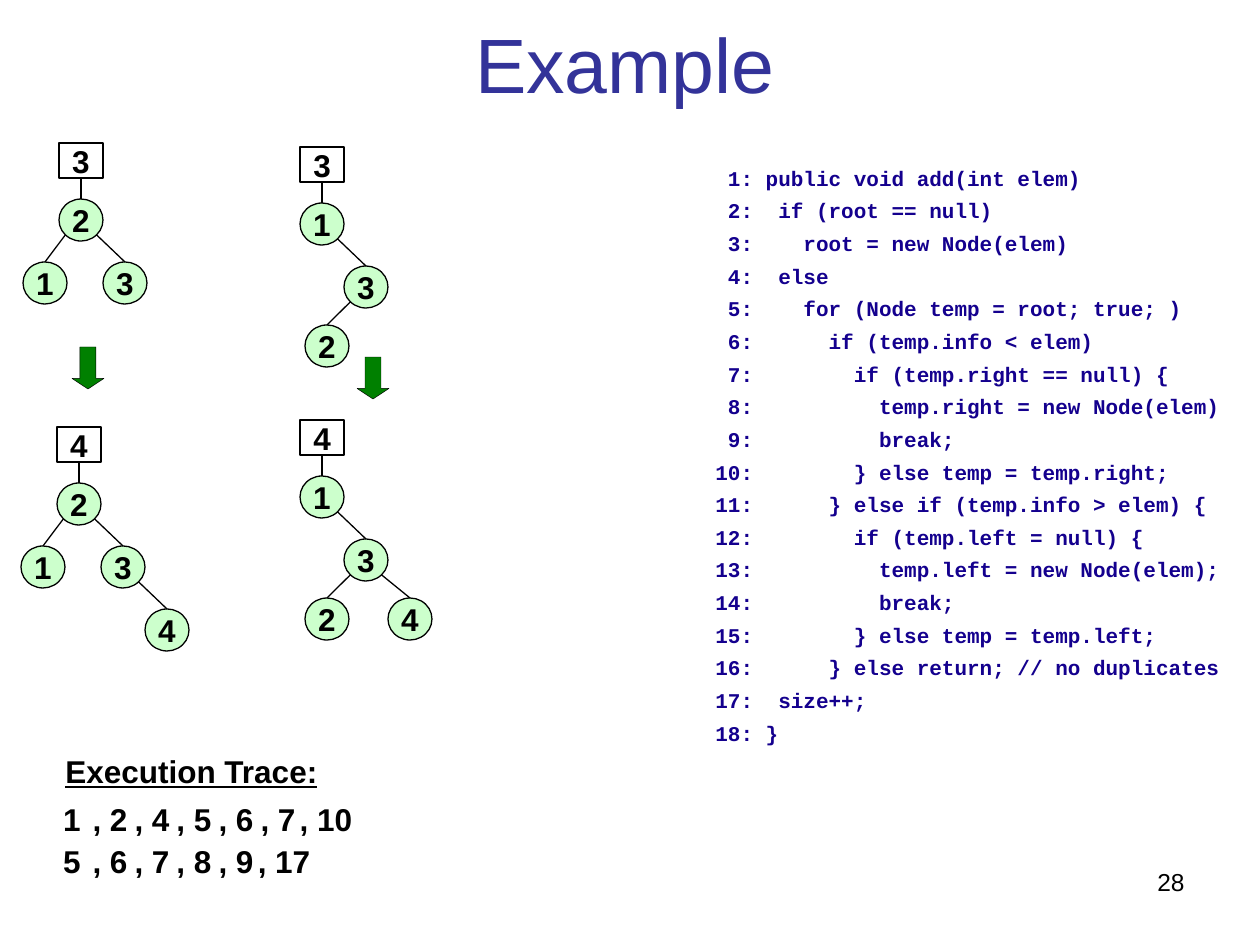
from pptx import Presentation
from pptx.dml.color import RGBColor
from pptx.enum.shapes import MSO_CONNECTOR, MSO_SHAPE
from pptx.enum.text import MSO_ANCHOR, MSO_AUTO_SIZE, PP_ALIGN
from pptx.oxml.ns import qn
from pptx.util import Emu, Pt

LINE = MSO_CONNECTOR.STRAIGHT
RECT, OVAL, ARROW = MSO_SHAPE.RECTANGLE, MSO_SHAPE.OVAL, MSO_SHAPE.DOWN_ARROW
TOP, MID = MSO_ANCHOR.TOP, MSO_ANCHOR.MIDDLE
LEFT, MIDDLE, RIGHT = PP_ALIGN.LEFT, PP_ALIGN.CENTER, PP_ALIGN.RIGHT

# Content
TITLE = "Example"
PAGE = "28"
HEAD = "Execution Trace:"
TRACE = [
    ["1", "2", "4", "5", "6", "7", "10"],
    ["5", "6", "7", "8", "9", "17"],
]
CODE = """\
public void add(int elem)
 if (root == null)
   root = new Node(elem)
 else
   for (Node temp = root; true; )
     if (temp.info < elem)
       if (temp.right == null) {
         temp.right = new Node(elem)
         break;
       } else temp = temp.right;
     } else if (temp.info > elem) {
       if (temp.left = null) {
         temp.left = new Node(elem);
         break;
       } else temp = temp.left;
     } else return; // no duplicates
 size++;
}""".split("\n")

# Each tree: left and top of its box, box label, then nodes by key
# as (dx, dy from the root, parent key)
ROOT = (0, 0, None)
KIDS = {"2": ROOT, "1": (-36, 63, "2"), "3": (44, 63, "2")}
CHAIN = {"1": ROOT, "3": (44, 63, "1"), "2": (5, 122, "3")}
TREES = [
    (59, 143, "3", KIDS),
    (57, 427, "4", {**KIDS, "4": (88, 126, "3")}),
    (300, 147, "3", CHAIN),
    (300, 420, "4", {**CHAIN, "4": (88, 122, "3")}),
]
ARROWS = [(72, 347), (357, 357)]

THEME = {
    "sans": "Arial", "mono": "Courier New",
    "ink": "000000", "title": "333399", "code": "14008E",
    "node": "CCFFCC", "arrow": "008000",
    "big": 44, "text": 18, "page": 14, "small": 12,
    "thin": 0.25, "line": 0.75,
}

PX = 914400 // 126
NODE_W, NODE_H, BOX_H, DROP = 44, 42, 35, 56
CELL, WIDE = 42, 54
EDGE = 0.146  # inset of an oval's 45 degree point, as a share of its side


def px(*nums):
    return [Emu(round(n * PX)) for n in nums]


def color(key):
    return RGBColor.from_string(THEME[key])


def write(par, text, size="text", ink="ink", face="sans", bold=True):
    run = par.add_run()
    run.text = text
    font = run.font
    font.name, font.size, font.bold = THEME[face], Pt(THEME[size]), bold
    font.color.rgb = color(ink)
    return run


def text_box(left, top, width, height, wrap=True, anchor=TOP, align=LEFT):
    frame = slide.shapes.add_textbox(*px(left, top, width, height)).text_frame
    frame.word_wrap, frame.vertical_anchor = wrap, anchor
    frame.paragraphs[0].alignment = align
    return frame


def no_margins(frame):
    frame.margin_left = frame.margin_right = 0
    frame.margin_top = frame.margin_bottom = 0


def add_shape(kind, left, top, width, height, fill=None, line="line"):
    shape = slide.shapes.add_shape(kind, *px(left, top, width, height))
    shape.shadow.inherit = False
    if fill:
        shape.fill.solid()
        shape.fill.fore_color.rgb = color(fill)
    else:
        shape.fill.background()
    shape.line.color.rgb = color("ink")
    shape.line.width = Pt(THEME[line])
    return shape


def add_label(shape, text):
    frame = shape.text_frame
    frame.word_wrap, frame.vertical_anchor = False, MID
    par = frame.paragraphs[0]
    par.alignment = MIDDLE
    write(par, text)
    return shape


def add_edge(x, y, child):
    edge = slide.shapes.add_connector(LINE, *px(x, y, x, y))
    edge.end_connect(child, 0)
    edge.line.color.rgb = color("ink")
    edge.line.width = Pt(THEME["line"])
    props = edge._element.spPr
    props.append(props.makeelement(qn("a:effectLst"), {}))
    return edge


def add_tree(left, top, label, nodes):
    base = top + DROP
    box = add_label(add_shape(RECT, left, top, NODE_W, BOX_H), label)
    ovals = {}
    for key, (dx, dy, parent) in nodes.items():
        oval = add_shape(OVAL, left + dx, base + dy, NODE_W, NODE_H, "node")
        ovals[key] = add_label(oval, key)
        if parent is None:
            stem = add_edge(left + NODE_W / 2, top + BOX_H, oval)
            stem.begin_connect(box, 2)
            continue
        # Leave the parent at its lower left or lower right
        from_dx, from_dy, _ = nodes[parent]
        side = EDGE if dx < from_dx else 1 - EDGE
        add_edge(left + from_dx + NODE_W * side,
                 base + from_dy + NODE_H * (1 - EDGE), ovals[key])


deck = Presentation()
deck.slide_width, deck.slide_height = px(1260, 945)
slide = deck.slides.add_slide(deck.slide_layouts[5])

# Title
title = slide.shapes.title
title.left, title.top, title.width, title.height = px(21, 9, 1208, 102)
frame = title.text_frame
no_margins(frame)
frame.auto_size, frame.vertical_anchor = MSO_AUTO_SIZE.NONE, MID
par = frame.paragraphs[0]
par.alignment, par.line_spacing = MIDDLE, 1.06
write(par, TITLE, "big", "title", bold=False)

# Trees before and after each insertion
for tree in TREES:
    add_tree(*tree)
for left, top in ARROWS:
    arrow = add_shape(ARROW, left, top, 32, 42, "arrow", "thin")
    arrow.adjustments[0], arrow.adjustments[1] = 0.5, 0.33

# Execution trace
head = text_box(53, 746, 346, 50)
write(head.paragraphs[0], HEAD).font.underline = True
for row, steps in enumerate(TRACE):
    for col, step in enumerate(steps):
        first = col == 0
        cell = text_box(47 + col * CELL + (4 if first else 0),
                        798 + row * CELL,
                        WIDE if len(step) > 1 else CELL, CELL,
                        False, MID, MIDDLE)
        no_margins(cell)
        write(cell.paragraphs[0], step if first else ", " + step)

# Numbered code
code = text_box(703, 168, 546, 583)
for num, text in enumerate(CODE, 1):
    par = code.paragraphs[0] if num == 1 else code.add_paragraph()
    par.line_spacing = 0.6
    par.space_before = Pt(0 if num == 1 else 10)
    write(par, f"{num:2}: {text}", "small", "code", "mono")

# Page number
page = text_box(903, 861, 294, 65, align=RIGHT)
write(page.paragraphs[0], PAGE, "page", bold=False)

deck.save("out.pptx")
